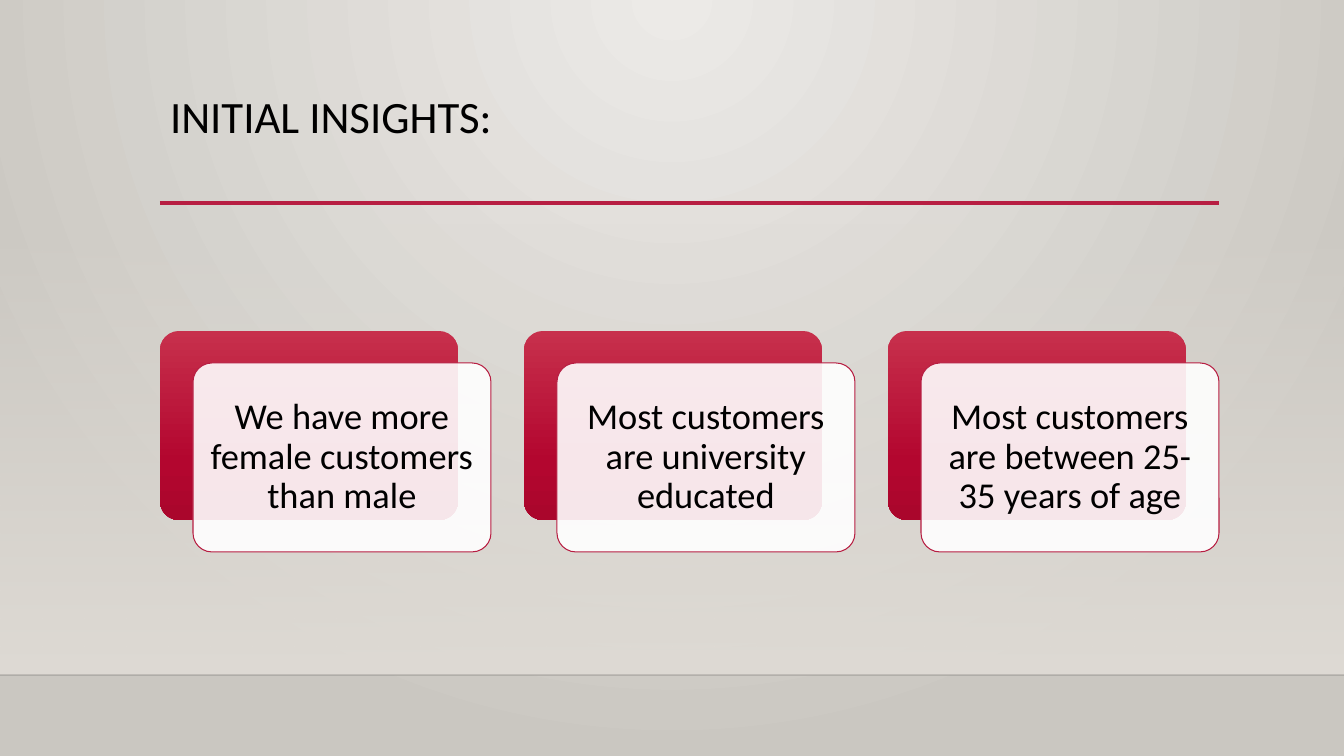
from dataclasses import dataclass

from lxml import etree
from pptx import Presentation, util as u
from pptx.dml.color import RGBColor
from pptx.enum import shapes as sh, text as tx
from pptx.oxml.ns import nsdecls, qn

PX = u.Inches(13.3333) / 1344
WIDE, HIGH = 1344, 756
RED, BLACK, WHITE, SAND = "B71E42", "000000", "FFFFFF", "DFDBD5"
DOWN = '<a:lin ang="5400000" scaled="0"/>'
GLOW = ('<a:path path="circle"><a:fillToRect l="43000" t="0" '
        'r="43000" b="100000"/></a:path>')


@dataclass
class Stop:
    pos: int
    tone: str
    alpha: int = 100


@dataclass
class Box:
    x: int
    y: int
    w: int
    h: int


@dataclass
class Rule:
    x: int
    y: int
    end: int
    tone: str
    size: float
    alpha: int = 100


def px(num: int) -> int:
    return round(num * PX)


def rgb(tone: str) -> RGBColor:
    return RGBColor.from_string(tone)


def fade(node, alpha: int) -> None:
    """Set the opacity of the first solid colour under the node."""
    tone = next(node.iter(qn("a:srgbClr")))
    etree.SubElement(tone, qn("a:alpha")).set("val", str(alpha * 1000))


def blend(node, stops: list[Stop], way: str) -> None:
    """Replace the solid fill of the node by a gradient."""
    marks = "".join(
        f'<a:gs pos="{s.pos * 1000}"><a:srgbClr val="{s.tone}">'
        f'<a:alpha val="{s.alpha * 1000}"/></a:srgbClr></a:gs>' for s in stops)
    grad = etree.fromstring(f'<a:gradFill {nsdecls("a")} rotWithShape="1">'
                            f'<a:gsLst>{marks}</a:gsLst>{way}</a:gradFill>')
    node.replace(node.find(qn("a:solidFill")), grad)


def add_box(slide, kind, box: Box, tone: str):
    shape = slide.shapes.add_shape(
        kind, px(box.x), px(box.y), px(box.w), px(box.h))
    shape.shadow.inherit = False
    shape.fill.solid()
    shape.fill.fore_color.rgb = rgb(tone)
    shape.line.fill.background()
    return shape


def add_rule(slide, rule: Rule) -> None:
    line = slide.shapes.add_connector(
        sh.MSO_CONNECTOR.STRAIGHT,
        px(rule.x), px(rule.y), px(rule.end), px(rule.y))
    line.line.color.rgb = rgb(rule.tone)
    line.line.width = u.Pt(rule.size)
    props = line.element.spPr
    if rule.alpha < 100:
        fade(props, rule.alpha)
    etree.SubElement(props, qn("a:effectLst"))


def write(shape, words: str, size: int, align, anchor, inset: int) -> None:
    frame = shape.text_frame
    frame.word_wrap = True
    frame.vertical_anchor = anchor
    frame.margin_left = frame.margin_right = px(inset)
    frame.margin_top = frame.margin_bottom = px(inset)
    frame.text = words
    para = frame.paragraphs[0]
    para.alignment = align
    para.line_spacing = 0.9
    font = para.runs[0].font
    font.name, font.size = "Calibri", u.Pt(size)
    font.color.rgb = rgb(BLACK)


def add_card(slide, box: Box, words: str) -> None:
    kind = sh.MSO_SHAPE.ROUNDED_RECTANGLE
    back = add_box(slide, kind, box, RED)
    blend(back.element.spPr,
          [Stop(0, "C7304C"), Stop(69, "B3062F"), Stop(100, "AA062C")], DOWN)
    front = add_box(
        slide, kind, Box(box.x + 33, box.y + 32, box.w, box.h), WHITE)
    fade(front.element.spPr, 90)
    front.line.color.rgb = rgb(RED)
    front.line.width = u.Pt(0.75)
    for shape in (back, front):
        shape.adjustments[0] = 0.1
    write(front, words, 26, tx.PP_ALIGN.CENTER, tx.MSO_ANCHOR.MIDDLE, 11)


def main() -> None:
    deck = Presentation()
    deck.slide_width, deck.slide_height = px(WIDE), px(HIGH)
    slide = deck.slides.add_slide(deck.slide_layouts[6])

    # Backdrop: glow from the top, wall and floor edge
    slide.background.fill.solid()
    blend(next(slide.element.iter(qn("p:bgPr"))),
          [Stop(0, "ECEAE7"), Stop(100, "CAC7C1")], GLOW)
    wall = add_box(slide, sh.MSO_SHAPE.RECTANGLE, Box(0, 223, WIDE, 452), SAND)
    blend(wall.element.spPr, [Stop(0, SAND, 0), Stop(100, SAND)], DOWN)
    add_rule(slide, Rule(0, 675, WIDE, "000001", 1, 20))

    # Title and its rule
    add_rule(slide, Rule(160, 203, 1219, RED, 2.5))
    title = slide.shapes.add_textbox(px(160), px(89), px(1059), px(116))
    write(title, "INITIAL INSIGHTS:", 32,
          tx.PP_ALIGN.LEFT, tx.MSO_ANCHOR.TOP, 10)
    title.text_frame.margin_top = px(6)

    # Insight cards
    facts = ["We have more female customers than male",
             "Most customers are university educated",
             "Most customers are between 25-35 years of age"]
    for i, fact in enumerate(facts):
        add_card(slide, Box(160 + 364 * i, 331, 298, 189), fact)

    deck.save("out.pptx")


if __name__ == "__main__":
    main()
